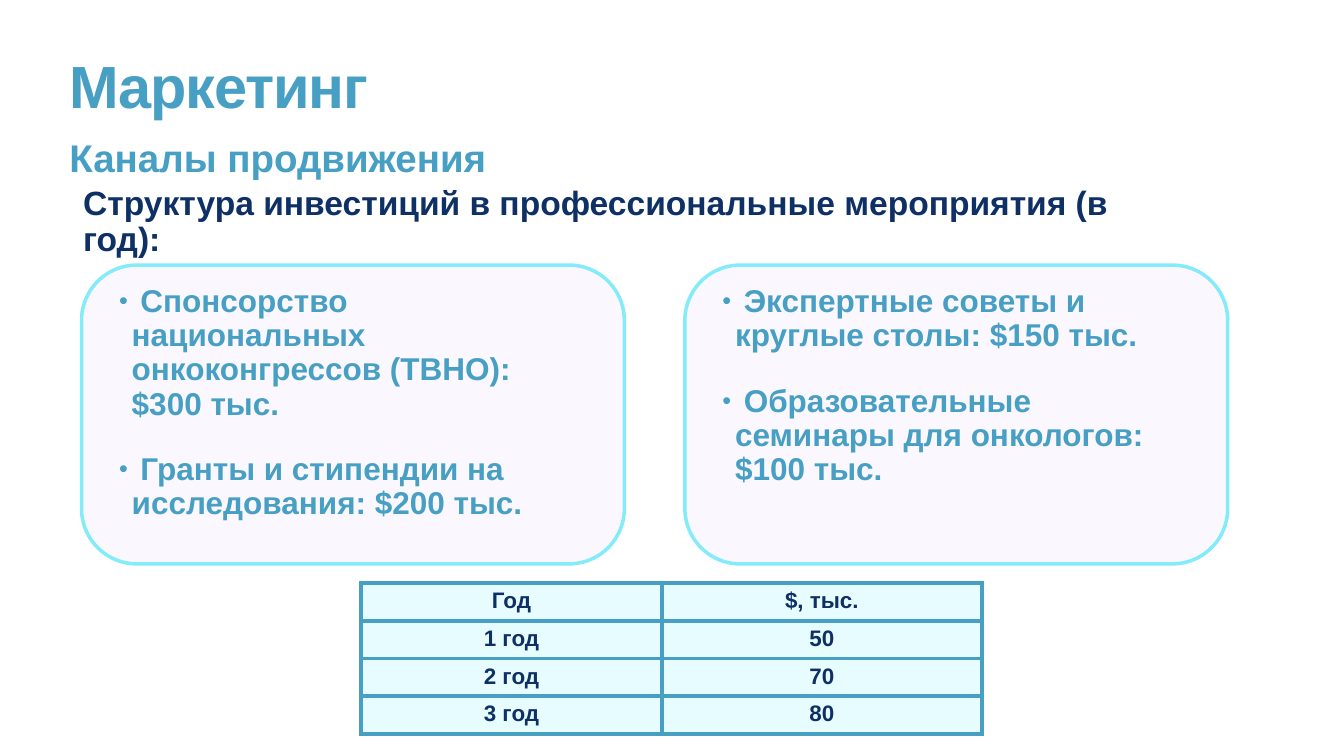
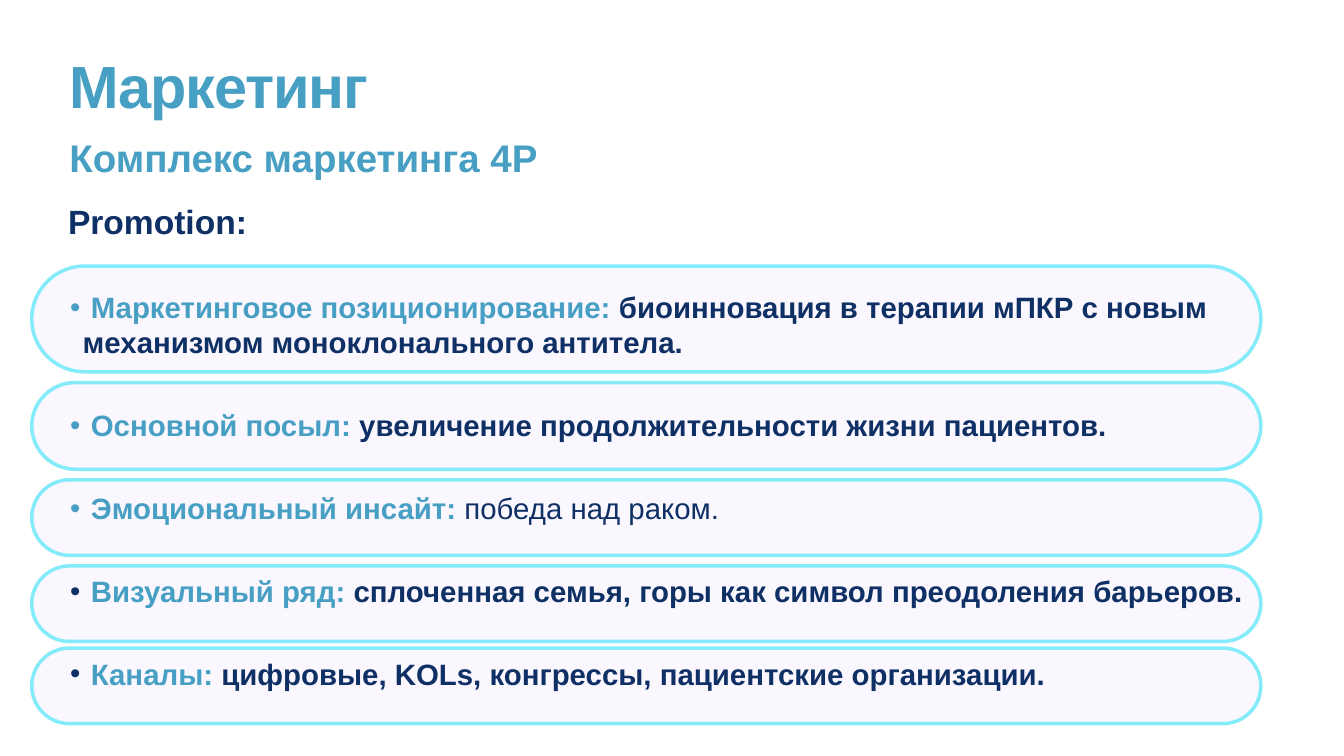
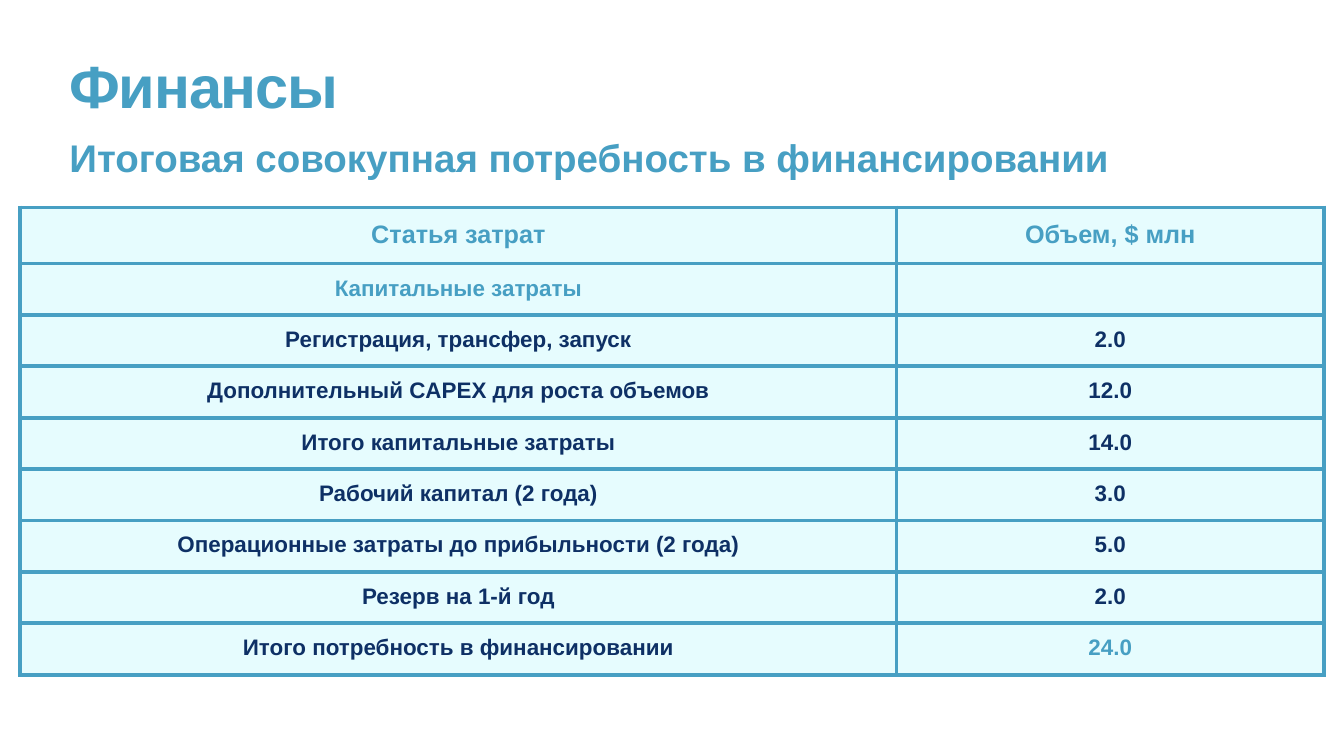
from lxml import etree
from pptx import Presentation
from pptx.dml.color import RGBColor
from pptx.enum.shapes import MSO_SHAPE
from pptx.enum.text import MSO_ANCHOR, PP_ALIGN
from pptx.oxml.ns import qn
from pptx.util import Cm, Pt

ROUNDED = MSO_SHAPE.ROUNDED_RECTANGLE
TOP, MIDDLE = MSO_ANCHOR.TOP, MSO_ANCHOR.MIDDLE
CENTER = PP_ALIGN.CENTER

COLORS = {
    "blue": "479FC3",
    "navy": "0E3065",
    "cyan": "83EBF9",
    "lilac": "EDE3FF",
    "aqua": "4EEFF9",
}
FONT = "Arial"
INSET = Cm(0.15)
LEFT, CONTENT_WIDTH = 3.35, 61.04


def rgb(name):
    return RGBColor.from_string(COLORS[name])


def apply(target, values):
    for name, value in values.items():
        setattr(target, name, value)


class Deck:
    """Holds the shared style and the slide being built."""

    def __init__(self):
        self.presentation = Presentation()
        apply(self.presentation, {"slide_width": Cm(67.74), "slide_height": Cm(38.1)})
        self.slide = None

    def start_slide(self, title, subtitle):
        self.slide = self.presentation.slides.add_slide(self.presentation.slide_layouts[6])
        self.text((LEFT, 3, CONTENT_WIDTH, 3.99), [[(title, "blue", True)]], 85,
                  line_spacing=0.8, tracking=-170)
        self.text((LEFT, 6.6, CONTENT_WIDTH, 2.59), [[(subtitle, "blue", True)]], 55)

    def write_runs(self, paragraph, runs, size, tracking=None):
        for words, color, bold in runs:
            run = paragraph.add_run()
            run.text = words
            apply(run.font, {"name": FONT, "size": Pt(size), "bold": bold})
            run.font.color.rgb = rgb(color)
            if tracking:
                run.font._element.set("spc", str(tracking))

    def text(self, box, paragraphs, size, anchor=TOP, line_spacing=None,
             space_before=0, indent=None, bullet_size=100, tracking=None):
        """Each paragraph is a list of (words, color, bold) runs."""
        shape = self.slide.shapes.add_textbox(*map(Cm, box))
        frame = shape.text_frame
        apply(frame, {"word_wrap": True, "vertical_anchor": anchor,
                      "margin_left": INSET, "margin_right": INSET,
                      "margin_top": INSET, "margin_bottom": INSET})
        for index, runs in enumerate(paragraphs):
            paragraph = frame.add_paragraph() if index else frame.paragraphs[0]
            paragraph.line_spacing = line_spacing
            if index:
                paragraph.space_before = Pt(space_before)
            if indent:
                self.bullet(paragraph, indent, bullet_size)
            self.write_runs(paragraph, runs, size, tracking)

    def bullet(self, paragraph, indent, size):
        properties = paragraph._p.get_or_add_pPr()
        properties.set("marL", str(Cm(indent)))
        properties.set("indent", str(-Cm(0.64)))
        etree.SubElement(properties, qn("a:buSzPct"), val=str(size * 1000))
        etree.SubElement(properties, qn("a:buFont"), typeface=FONT)
        etree.SubElement(properties, qn("a:buChar"), char="•")

    def tint(self, fill, color, percent):
        fill.solid()
        fill.fore_color.rgb = rgb(color)
        color_element = fill._xPr.find(qn("a:solidFill"))[0]
        etree.SubElement(color_element, qn("a:alpha"), val=str(percent * 1000))

    def card(self, box, rounding):
        shape = self.slide.shapes.add_shape(ROUNDED, *map(Cm, box))
        shape.adjustments[0] = rounding
        shape.shadow.inherit = False
        self.tint(shape.fill, "lilac", 27)
        shape.line.color.rgb = rgb("cyan")
        shape.line.width = Pt(5)

    def border(self, cell):
        properties = cell._tc.get_or_add_tcPr()
        for side in ("lnL", "lnR", "lnT", "lnB"):
            line = etree.SubElement(properties, qn(f"a:{side}"), w=str(Pt(6)))
            fill = etree.SubElement(line, qn("a:solidFill"))
            etree.SubElement(fill, qn("a:srgbClr"), val=COLORS["blue"])

    def table(self, left, top, widths, heights, rows, style):
        """style(row, column) gives the size and color of a cell's text."""
        frame = self.slide.shapes.add_table(
            len(rows), len(widths), Cm(left), Cm(top), Cm(sum(widths)), Cm(sum(heights)))
        table = frame.table
        apply(table, {"first_row": False, "horz_banding": False})
        for column, width in zip(table.columns, widths):
            column.width = Cm(width)
        for row_index, (row, height) in enumerate(zip(rows, heights)):
            table.rows[row_index].height = Cm(height)
            for column_index, words in enumerate(row):
                cell = table.cell(row_index, column_index)
                apply(cell, {"vertical_anchor": MIDDLE,
                             "margin_left": INSET, "margin_right": INSET,
                             "margin_top": INSET, "margin_bottom": INSET})
                self.border(cell)
                self.tint(cell.fill, "aqua", 14)
                paragraph = cell.text_frame.paragraphs[0]
                apply(paragraph, {"alignment": CENTER, "line_spacing": 0.9})
                if words:
                    size, color = style(row_index, column_index)
                    self.write_runs(paragraph, [(words, color, True)], size)


def build_channels(deck):
    deck.start_slide("Маркетинг", "Каналы продвижения")
    heading = "Структура инвестиций в профессиональные мероприятия (в год):"
    deck.text((4.04, 10.08, 55.88, 2.29), [[(heading, "navy", True)]], 48,
              anchor=MIDDLE, line_spacing=0.9)

    # Two cards of investments
    cards = [
        (" Спонсорство национальных онкоконгрессов (TВНО): $300 тыс.",
         " Гранты и стипендии на исследования: $200 тыс."),
        (" Экспертные советы и круглые столы: $150 тыс.",
         " Образовательные семинары для онкологов: $100 тыс."),
    ]
    for index, items in enumerate(cards):
        left = 4.11 + index * 30.41
        deck.card((left, 13.36, 27.36, 15.06), 0.185)
        deck.text((left + 1.74, 14.25, 23.4, 13.26),
                  [[(item, "blue", True)] for item in items], 45,
                  line_spacing=0.9, space_before=45, indent=0.64, bullet_size=80)

    # Spending by year
    rows = [("Год", "$, тыс."), ("1 год", "50"), ("2 год", "70"), ("3 год", "80")]
    deck.table(18.21, 29.39, (15.14, 16.15), [1.9] * len(rows), rows,
               lambda row, column: (32, "navy"))


def build_promotion(deck):
    deck.start_slide("Маркетинг", "Комплекс маркетинга 4P")
    deck.text((3.28, 10.11, 57.51, 2.29), [[("Promotion:", "navy", True)]], 48,
              anchor=MIDDLE, line_spacing=0.9)

    # Pills behind the list
    pills = [(13.41, 5.33), (19.28, 4.37), (24.18, 3.81), (28.52, 3.81), (32.66, 3.81)]
    for top, height in pills:
        deck.card((1.6, top, 61.95, height), 0.5)

    # Bullet color, label, message, bold message
    messages = [
        ("blue", "Маркетинговое позиционирование:",
         " биоинновация в терапии мПКР с новым механизмом моноклонального антитела.", True),
        ("blue", "Основной посыл:", " увеличение продолжительности жизни пациентов.", True),
        ("blue", "Эмоциональный инсайт:", " победа над раком.", False),
        ("navy", "Визуальный ряд:",
         " сплоченная семья, горы как символ преодоления барьеров.", True),
        ("navy", "Каналы:", " цифровые, KOLs, конгрессы, пациентские организации.", True),
    ]
    paragraphs = [[(" ", bullet, True), (label, "blue", True), (message, "navy", bold)]
                  for bullet, label, message, bold in messages]
    deck.text((1.68, 14.43, 64.62, 22.5), paragraphs, 42, space_before=68, indent=2.34)


def build_funding(deck):
    deck.start_slide("Финансы", "Итоговая совокупная потребность в финансировании")
    rows = [
        ("Статья затрат", "Объем, $ млн"),
        ("Капитальные затраты", ""),
        ("Регистрация, трансфер, запуск", "2.0"),
        ("Дополнительный CAPEX для роста объемов", "12.0"),
        ("Итого капитальные затраты", "14.0"),
        ("Рабочий капитал (2 года)", "3.0"),
        ("Операционные затраты до прибыльности (2 года)", "5.0"),
        ("Резерв на 1-й год", "2.0"),
        ("Итого потребность в финансировании", "24.0"),
    ]
    grand_total = (len(rows) - 1, 1)

    def style(row, column):
        highlighted = row < 2 or (row, column) == grand_total
        return (32 if row else 36), ("blue" if highlighted else "navy")

    deck.table(1.02, 10.46, (44.17, 21.54), [2.82] + [2.59] * (len(rows) - 1), rows, style)


def main():
    deck = Deck()
    build_channels(deck)
    build_promotion(deck)
    build_funding(deck)
    deck.presentation.save("out.pptx")


if __name__ == "__main__":
    main()
